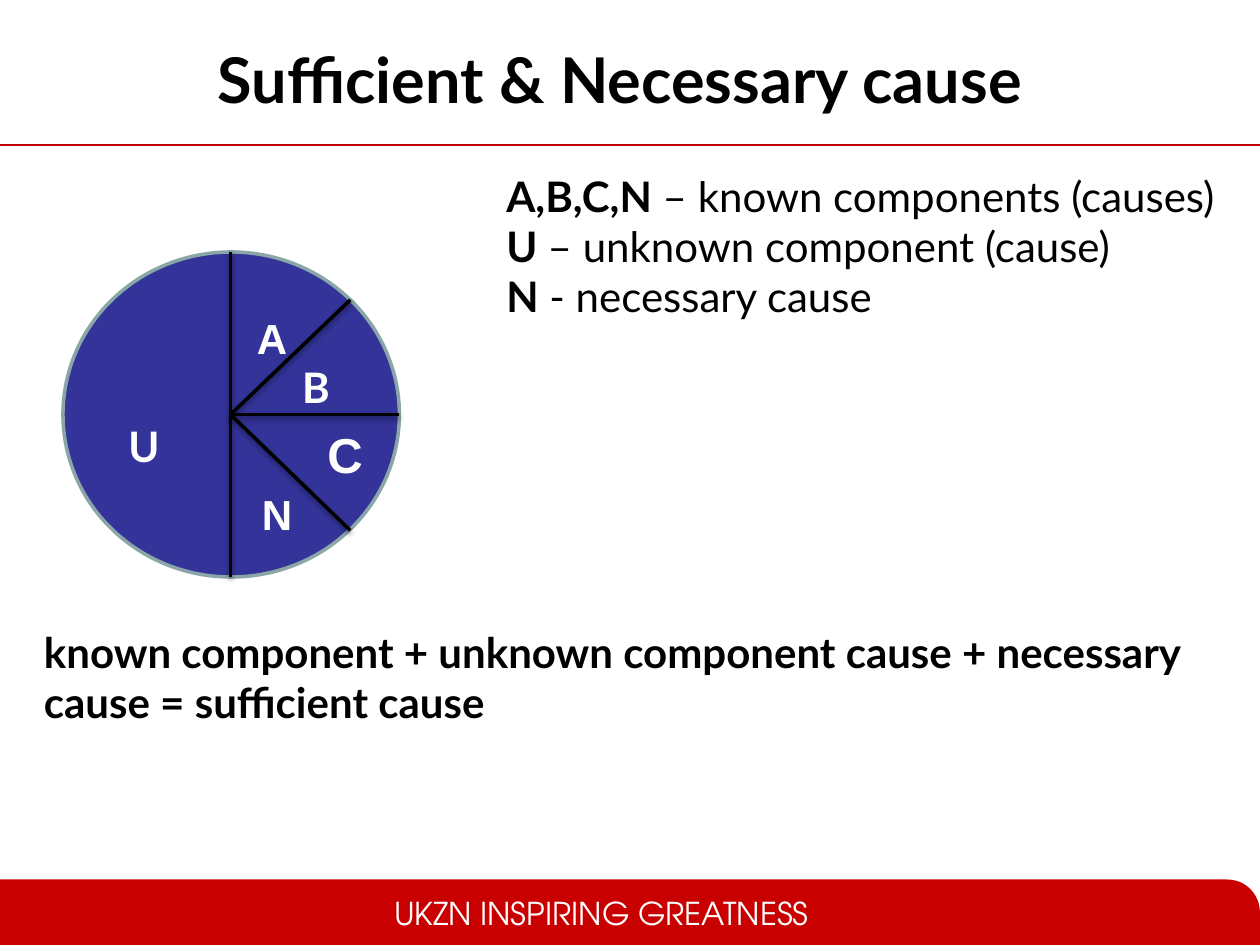
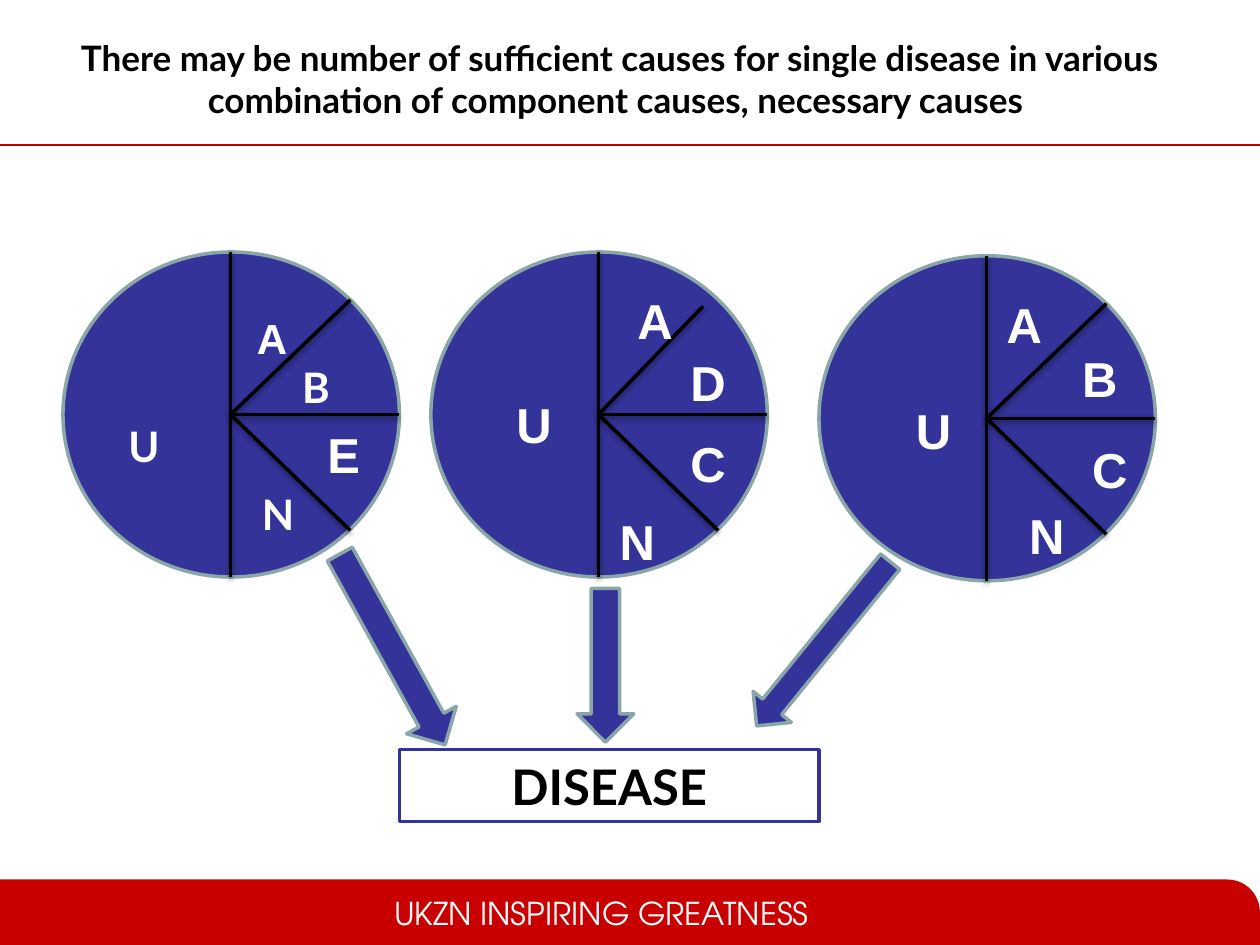
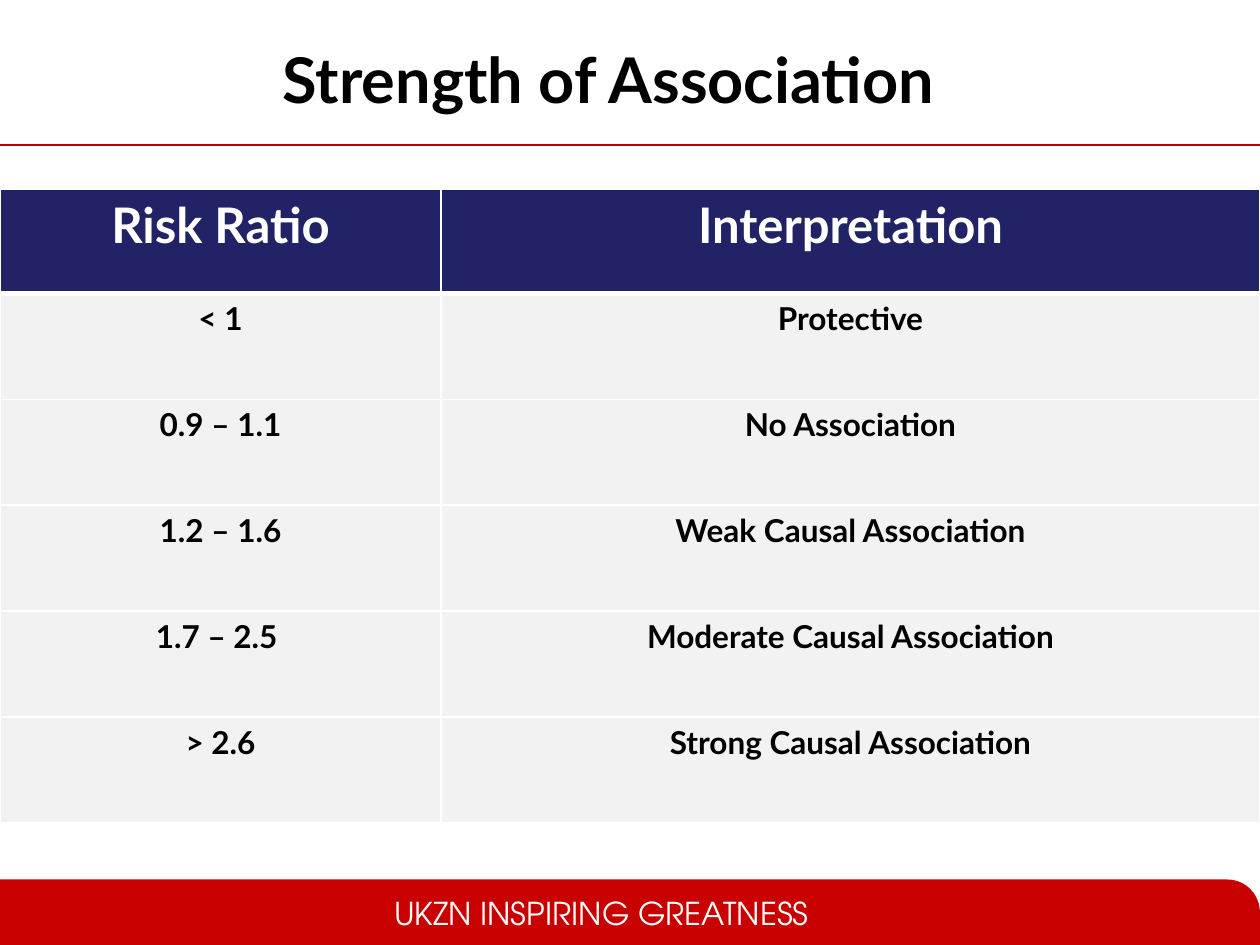
from lxml.etree import SubElement
from pptx import Presentation
from pptx.dml.color import RGBColor
from pptx.enum.shapes import MSO_CONNECTOR as Line, MSO_SHAPE as Shape
from pptx.enum.text import MSO_ANCHOR as Anchor, MSO_AUTO_SIZE as AutoSize, PP_ALIGN as Align
from pptx.oxml.ns import qn
from pptx.util import Inches, Pt

BLACK = RGBColor(0x00, 0x00, 0x00)
WHITE = RGBColor(0xFF, 0xFF, 0xFF)
RULE_RED = RGBColor(0xC0, 0x00, 0x00)
BAND_RED = RGBColor(0xC8, 0x00, 0x00)
BLUE = RGBColor(0x33, 0x33, 0x99)
NAVY = RGBColor(0x22, 0x22, 0x67)
GREY_GREEN = RGBColor(0x8A, 0xA6, 0xA8)
PALE_GREY = RGBColor(0xF2, 0xF2, 0xF2)

BODY_FONT = "Lato"
LABEL_FONT = "Arial"
BAND_FONT = "TeX Gyre Adventor"

PIE_WIDTH, PIE_HEIGHT = 2.67, 2.58
PIE_CENTRE = (1.33, 1.29)
UPPER_TIP, RIGHT_TIP, LOWER_TIP = (2.28, 0.38), (2.67, 1.29), (2.28, 2.21)
SPOKE_SHADOW = (38, 3.1, 1.6, 90)
RULE_SHADOW = (40, 4, 3, 45)

FIRST_PIE_SPOTS = [
    ("U", 0.42, 1.29, 24, BODY_FONT), ("A", 1.44, 0.43, 24, LABEL_FONT),
    ("B", 1.8, 0.82, 24, BODY_FONT),
]
ABCN_PIE = FIRST_PIE_SPOTS + [
    ("C", 2, 1.32, 28, LABEL_FONT), ("N", 1.48, 1.83, 24, LABEL_FONT),
]
ABEN_PIE = FIRST_PIE_SPOTS + [
    ("E", 2, 1.32, 28, LABEL_FONT), ("N", 1.48, 1.83, 24, BODY_FONT),
]
ADCN_PIE = [
    ("U", 0.58, 1.08, 28, LABEL_FONT), ("A", 1.54, 0.26, 28, LABEL_FONT),
    ("D", 1.96, 0.75, 28, LABEL_FONT), ("C", 1.96, 1.39, 28, LABEL_FONT),
    ("N", 1.4, 2.01, 28, LABEL_FONT),
]
LARGE_ABCN_PIE = [
    ("U", 0.67, 1.1, 28, LABEL_FONT), ("A", 1.39, 0.26, 28, LABEL_FONT),
    ("B", 1.99, 0.69, 28, LABEL_FONT), ("C", 2.07, 1.41, 28, LABEL_FONT),
    ("N", 1.57, 1.93, 28, LABEL_FONT),
]
DISEASE_ARROWS = [
    (4.58, 4.67, 0.45, 1.22, 0),
    (2.89, 4.29, 0.45, 1.73, 331.1),
    (6.34, 4.27, 0.39, 1.68, 39.1),
]
RISK_ROWS = [
    ("Risk Ratio", "Interpretation"),
    ("< 1", "Protective"),
    ("0.9 – 1.1", "No Association"),
    ("1.2 – 1.6", "Weak Causal Association"),
    ("1.7 – 2.5 ", "Moderate Causal Association"),
    ("> 2.6", "Strong Causal Association"),
]


def write(frame, *lines, size=24, font=BODY_FONT, color=BLACK, bold=True, align=Align.LEFT):
    """Fill a text frame; a line is a string or a list of (text, bold) spans."""
    frame.word_wrap = True
    for index, line in enumerate(lines):
        para = frame.add_paragraph() if index else frame.paragraphs[0]
        para.alignment = align
        for text, is_bold in [(line, bold)] if isinstance(line, str) else line:
            span = para.add_run()
            span.text = text
            span.font.name, span.font.size = font, Pt(size)
            span.font.bold, span.font.color.rgb = is_bold, color


def add_text(page, left, top, width, height, *lines, **style):
    """Add a text box with formatted lines."""
    box = page.shapes.add_textbox(Inches(left), Inches(top), Inches(width), Inches(height))
    write(box.text_frame, *lines, **style)


def add_block(page, kind, left, top, width, height, fill, line=None):
    """Add a preset shape with a flat fill and an optional outline."""
    block = page.shapes.add_shape(kind, Inches(left), Inches(top), Inches(width), Inches(height))
    block.shadow.inherit = False
    block.fill.solid()
    block.fill.fore_color.rgb = fill
    if line is None:
        block.line.fill.background()
    else:
        block.line.color.rgb = line
        block.line.width = Pt(2)
    return block


def add_line(page, start, end, color, width, shadow):
    """Add a straight line with an (opacity, blur, distance, angle) shadow."""
    line = page.shapes.add_connector(Line.STRAIGHT, *(Inches(value) for value in start + end))
    line.line.color.rgb = color
    line.line.width = Pt(width)
    opacity, blur, distance, angle = shadow
    effects = SubElement(line._element.spPr, qn("a:effectLst"))
    outer = SubElement(effects, qn("a:outerShdw"), blurRad=str(Pt(blur)), dist=str(Pt(distance)),
                       dir=str(angle * 60000), rotWithShape="0")
    tint = SubElement(outer, qn("a:srgbClr"), val=str(BLACK))
    SubElement(tint, qn("a:alpha"), val=str(opacity * 1000))


def add_page(deck, title, size=36, left=0.42):
    """Add a titled slide with the red rule and the footer band."""
    page = deck.slides.add_slide(deck.slide_layouts[5])
    box = page.shapes.title
    box.left, box.top, box.width, box.height = Inches(left), 0, Inches(9), Inches(1.25)
    frame = box.text_frame
    frame.auto_size, frame.vertical_anchor = AutoSize.NONE, Anchor.MIDDLE
    write(frame, title, size=size, align=Align.CENTER)
    add_line(page, (0, 1.15), (10, 1.15), RULE_RED, 0.75, RULE_SHADOW)
    band = add_block(page, Shape.ROUND_1_RECTANGLE, 0, 6.98, 10, 0.52, BAND_RED)
    band.adjustments[0] = 0.5
    add_text(page, 3.03, 7.05, 3.54, 0.4, "UKZN INSPIRING GREATNESS",
             size=18, font=BAND_FONT, color=WHITE, bold=False)
    return page


def add_cause_pie(page, left, top, labels, upper_tip=UPPER_TIP):
    """Draw a causal pie: disc, dividing lines and component letters."""
    def place(point):
        return left + point[0], top + point[1]

    add_block(page, Shape.OVAL, left, top, PIE_WIDTH, PIE_HEIGHT, BLUE, GREY_GREEN)
    middle = PIE_CENTRE[0]
    spokes = [((middle, 0), (middle, PIE_HEIGHT))]
    spokes += [(PIE_CENTRE, tip) for tip in (upper_tip, RIGHT_TIP, LOWER_TIP)]
    for start, end in spokes:
        add_line(page, place(start), place(end), BLACK, 2, SPOKE_SHADOW)
    for letter, x, y, size, font in labels:
        add_text(page, *place((x, y)), 0.45, 0.5, letter, size=size, font=font, color=WHITE)


def add_risk_table(page, left, top, widths, heights):
    """Add the table of risk ratios with white cell borders."""
    table = page.shapes.add_table(
        len(heights), len(widths), Inches(left), Inches(top),
        Inches(sum(widths)), Inches(sum(heights))).table
    for column, width in zip(table.columns, widths):
        column.width = Inches(width)
    for index, (row, height) in enumerate(zip(table.rows, heights)):
        row.height = Inches(height)
        is_header = index == 0
        for cell, text in zip(row.cells, RISK_ROWS[index]):
            border_cell(cell, bottom=3 if is_header else 1)
            cell.fill.solid()
            cell.fill.fore_color.rgb = NAVY if is_header else PALE_GREY
            write(cell.text_frame, text, size=28 if is_header else 18,
                  color=WHITE if is_header else BLACK, align=Align.CENTER)


def border_cell(cell, bottom):
    """Give a cell white borders, with its own bottom width in points."""
    properties = cell._tc.get_or_add_tcPr()
    for side, width in (("L", 1), ("R", 1), ("T", 1), ("B", bottom)):
        edge = SubElement(properties, qn(f"a:ln{side}"), w=str(Pt(width)))
        SubElement(SubElement(edge, qn("a:solidFill")), qn("a:srgbClr"), val=str(WHITE))


def build_definition_page(deck):
    """Build the slide that defines sufficient and necessary causes."""
    page = add_page(deck, "Sufficient & Necessary cause")
    add_cause_pie(page, 0.5, 2, ABCN_PIE)
    add_text(page, 3.92, 1.3, 5.92, 1.72,
             [("A,B,C,N", True), (" – known components (causes)", False)],
             [("U ", True), ("– unknown component (cause)", False)],
             [("N", True), (" - necessary cause", False)])
    add_text(page, 0.25, 4.92, 9.25, 0.91,
             "known component + unknown component cause + necessary cause = sufficient cause")


def build_disease_page(deck):
    """Build the slide where three sufficient causes lead to one disease."""
    page = add_page(deck, "There may be number of sufficient causes for single disease in various "
                    "combination of component causes, necessary causes ", size=20)
    add_cause_pie(page, 0.5, 2, ABEN_PIE)
    add_cause_pie(page, 3.42, 2, ADCN_PIE, upper_tip=(2.16, 0.43))
    add_cause_pie(page, 6.5, 2.03, LARGE_ABCN_PIE)
    disease = add_block(page, Shape.RECTANGLE, 3.17, 5.95, 3.33, 0.57, WHITE, BLUE)
    write(disease.text_frame, "DISEASE", size=28, align=Align.CENTER)
    for *place, angle in DISEASE_ARROWS:
        arrow = add_block(page, Shape.DOWN_ARROW, *place, BLUE, GREY_GREEN)
        arrow.rotation = angle


def build_strength_page(deck):
    """Build the slide that interprets risk ratios."""
    page = add_page(deck, "Strength of Association", left=0.33)
    add_risk_table(page, 0, 1.5, widths=[3.5, 6.5], heights=[0.83] + [0.84] * 5)


def main():
    """Build and save the deck."""
    deck = Presentation()
    deck.slide_width, deck.slide_height = Inches(10), Inches(7.5)
    build_definition_page(deck)
    build_disease_page(deck)
    build_strength_page(deck)
    deck.save("out.pptx")


if __name__ == "__main__":
    main()
